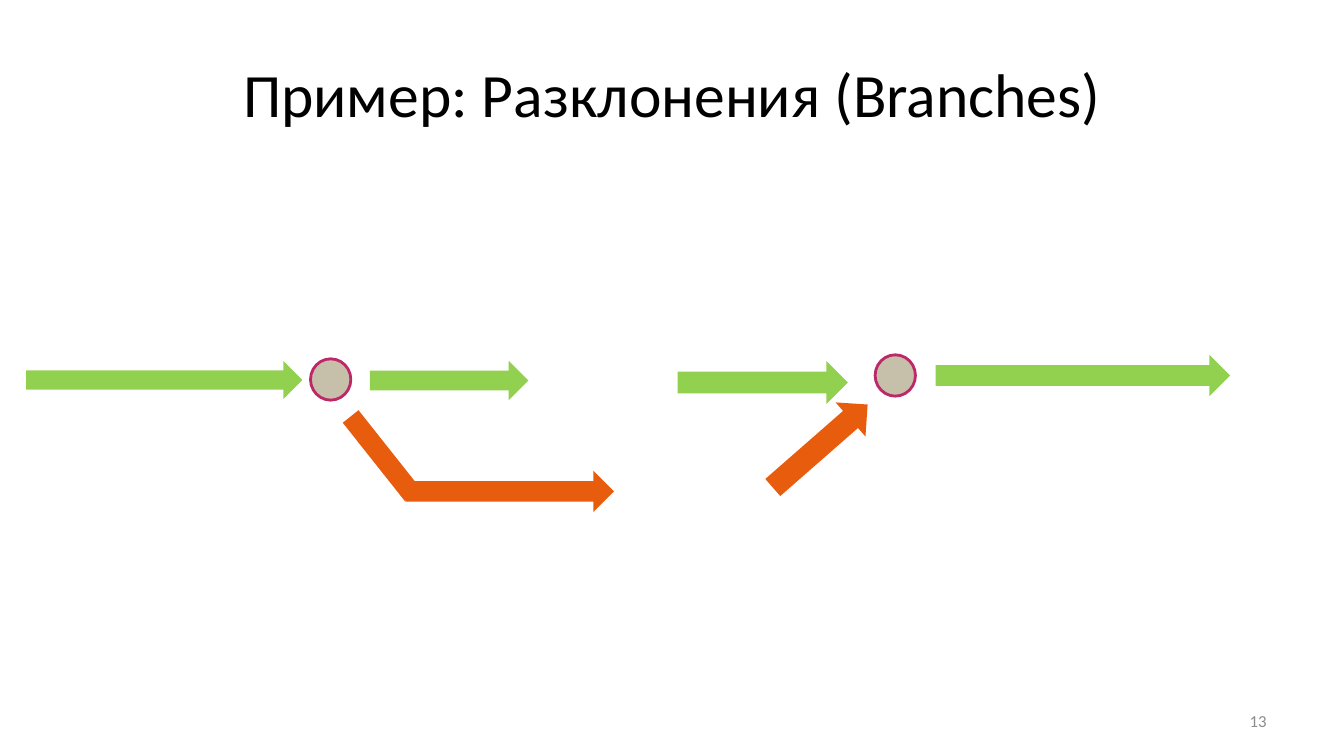
from pptx import Presentation
from pptx.dml.color import RGBColor
from pptx.enum.shapes import MSO_SHAPE
from pptx.enum.text import MSO_ANCHOR, PP_ALIGN
from pptx.util import Inches, Pt

ARROW, CIRCLE, BAR = MSO_SHAPE.RIGHT_ARROW, MSO_SHAPE.OVAL, MSO_SHAPE.RECTANGLE
CENTER, RIGHT, MIDDLE = PP_ALIGN.CENTER, PP_ALIGN.RIGHT, MSO_ANCHOR.MIDDLE

# Content: boxes are left, top, width, height in inches
TITLE = ("Пример: Разклонения (Branches)", (0.67, 0.3, 12, 1.25))
NUMBER = ("13", (9.55, 6.95, 3.11, 0.4))
# Diagram parts: shape, colour name, box, rotation
PARTS = [
    # Main line
    (ARROW, "main", (0.26, 3.58, 2.74, 0.38), 0),
    (CIRCLE, "node", (3.08, 3.56, 0.4, 0.41), 0),
    (ARROW, "main", (9.28, 3.52, 2.92, 0.41), 0),
    # Merge back
    (ARROW, "branch", (7.51, 4.2, 1.25, 0.45), 318.8),
    (CIRCLE, "node", (8.68, 3.52, 0.4, 0.41), 0),
    (ARROW, "main", (3.67, 3.58, 1.57, 0.39), 0),
    # Branch off
    (ARROW, "branch", (4.02, 4.67, 2.07, 0.41), 0),
    (BAR, "branch", (3.29, 4.42, 0.99, 0.2), 51.6),
    (ARROW, "main", (6.72, 3.58, 1.69, 0.43), 0),
]
THEME = {
    "font": "Calibri", "title_size": 44, "number_size": 12, "outline_width": 2,
    "title": "000000", "number": "8C8C8C", "main": "92D050",
    "branch": "E85C0E", "node": "C6C0AA", "outline": "BD2968",
}


def color(name):
    return RGBColor.from_string(THEME[name])


def write(shape, text, role, align):
    tf = shape.text_frame
    tf.word_wrap = True
    tf.vertical_anchor = MIDDLE
    p = tf.paragraphs[0]
    p.alignment = align
    r = p.add_run()
    r.text = text
    font = {"name": THEME["font"], "size": Pt(THEME[role + "_size"])}
    for key, value in font.items():
        setattr(r.font, key, value)
    r.font.color.rgb = color(role)


def add_part(s, kind, role, box, rotation):
    sp = s.shapes.add_shape(kind, *map(Inches, box))
    sp.shadow.inherit = False
    sp.rotation = rotation
    sp.fill.solid()
    sp.fill.fore_color.rgb = color(role)
    if role == "node":
        sp.line.color.rgb = color("outline")
        sp.line.width = Pt(THEME["outline_width"])
    else:
        sp.line.fill.background()


def main():
    prs = Presentation()
    prs.slide_width, prs.slide_height = Inches(13.33), Inches(7.5)
    s = prs.slides.add_slide(prs.slide_layouts[5])

    # Title
    text, box = TITLE
    title = s.shapes.title
    title.left, title.top, title.width, title.height = map(Inches, box)
    write(title, text, "title", CENTER)

    # Slide number
    text, box = NUMBER
    write(s.shapes.add_textbox(*map(Inches, box)), text, "number", RIGHT)

    # Branch diagram
    for part in PARTS:
        add_part(s, *part)

    prs.save("out.pptx")


if __name__ == "__main__":
    main()
